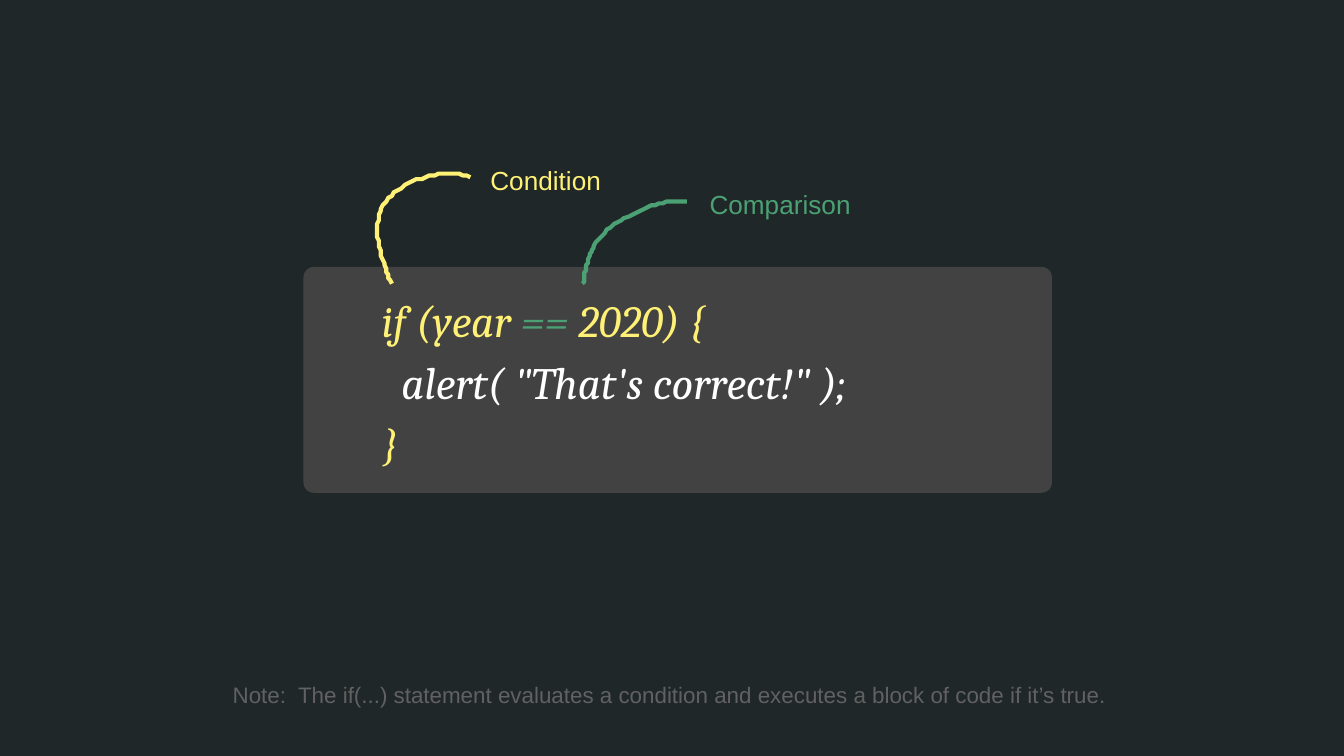
from pptx import Presentation
from pptx.dml.color import RGBColor
from pptx.enum.shapes import MSO_SHAPE
from pptx.enum.text import MSO_ANCHOR, MSO_AUTO_SIZE, PP_ALIGN
from pptx.util import Pt

BACKGROUND = RGBColor(0x20, 0x27, 0x29)
PANEL = RGBColor(0x42, 0x42, 0x42)
YELLOW = RGBColor(0xFF, 0xF1, 0x76)
GREEN = RGBColor(0x4B, 0xA1, 0x73)
WHITE = RGBColor(0xFF, 0xFF, 0xFF)
GRAY = RGBColor(0x61, 0x61, 0x61)
ROUNDED = MSO_SHAPE.ROUNDED_RECTANGLE
MIDDLE, TOP = MSO_ANCHOR.MIDDLE, MSO_ANCHOR.TOP
LEFT, CENTER = PP_ALIGN.LEFT, PP_ALIGN.CENTER
NO_AUTOFIT = MSO_AUTO_SIZE.NONE
CURVE_STEPS = 24


def fill_text(sp, lines, anchor, align, font):
    """Write lines, each a list of (text, colour) runs, into a shape."""
    tf = sp.text_frame
    frame = {"word_wrap": True, "auto_size": NO_AUTOFIT, "vertical_anchor": anchor}
    for side in ("left", "right", "top", "bottom"):
        frame[f"margin_{side}"] = Pt(7.2)
    for name, value in frame.items():
        setattr(tf, name, value)
    for i, line in enumerate(lines):
        p = tf.add_paragraph() if i else tf.paragraphs[0]
        p.alignment = align
        p.line_spacing = 1.15
        for text, color in line:
            r = p.add_run()
            r.text = text
            for name, value in font.items():
                setattr(r.font, name, value)
            r.font.color.rgb = color


def bezier_points(start, *segments):
    """Return points along joined cubic curves, after the start point."""
    points = []
    for c1, c2, end in segments:
        for step in range(1, CURVE_STEPS + 1):
            t = step / CURVE_STEPS
            u = 1 - t
            points.append(tuple(
                u**3 * a + 3 * u**2 * t * b + 3 * u * t**2 * c + t**3 * d
                for a, b, c, d in zip(start, c1, c2, end)))
        start = end
    return points


prs = Presentation()
prs.slide_width, prs.slide_height = Pt(720), Pt(405)
s = prs.slides.add_slide(prs.slide_layouts[5])
s.background.fill.solid()
s.background.fill.fore_color.rgb = BACKGROUND

# Code panel, drawn behind the title
title = s.shapes.title
panel = s.shapes.add_shape(ROUNDED, Pt(162.6), Pt(143), Pt(401), Pt(121))
panel.adjustments[0] = 0.046
panel.shadow.inherit = False
panel.fill.solid()
panel.fill.fore_color.rgb = PANEL
panel.line.fill.background()
title.element.addprevious(panel.element)

# Code sample
title.left, title.top, title.width, title.height = Pt(197.3), Pt(41.8), Pt(491.8), Pt(320.4)
code = [
    [("if (year ", YELLOW), ("==", GREEN), (" 2020) {", YELLOW)],
    [("  alert( \"That's correct!\" );", WHITE)],
    [("}", YELLOW)],
]
fill_text(title, code, MIDDLE, LEFT,
          {"name": "Cambria", "size": Pt(24), "italic": True, "bold": False})

# Curves from the code to its labels
curves = [
    (YELLOW, (209.5, 151.9),
     ((205.2, 139.7), (198.7, 124.6), (204.5, 111.6)),
     ((211.7, 96.5), (237.6, 89.3), (252, 95))),
    (GREEN, (312.5, 151.9),
     ((313.9, 143.3), (314.6, 133.9), (324, 124.6)),
     ((335.5, 113), (359.3, 105.1), (367.5, 108.4))),
]
for color, start, *segments in curves:
    builder = s.shapes.build_freeform(*start, scale=Pt(1))
    builder.add_line_segments(bezier_points(start, *segments), close=False)
    sp = builder.convert_to_shape()
    sp.shadow.inherit = False
    sp.fill.background()
    sp.line.color.rgb = color
    sp.line.width = Pt(2.25)

# Labels and note
note = "Note:  The if(...) statement evaluates a condition and executes a block of code if it’s true."
texts = [
    ("Condition", YELLOW, 14, LEFT, (255.6, 78.5, 140.4, 36.7)),
    ("Comparison", GREEN, 14, LEFT, (373, 91.1, 140.4, 36.7)),
    (note, GRAY, 12, CENTER, (28.8, 355.7, 660.2, 31.7)),
]
for text, color, size, align, box in texts:
    sp = s.shapes.add_textbox(*map(Pt, box))
    fill_text(sp, [[(text, color)]], TOP, align, {"name": "Arial", "size": Pt(size)})

prs.save("out.pptx")
